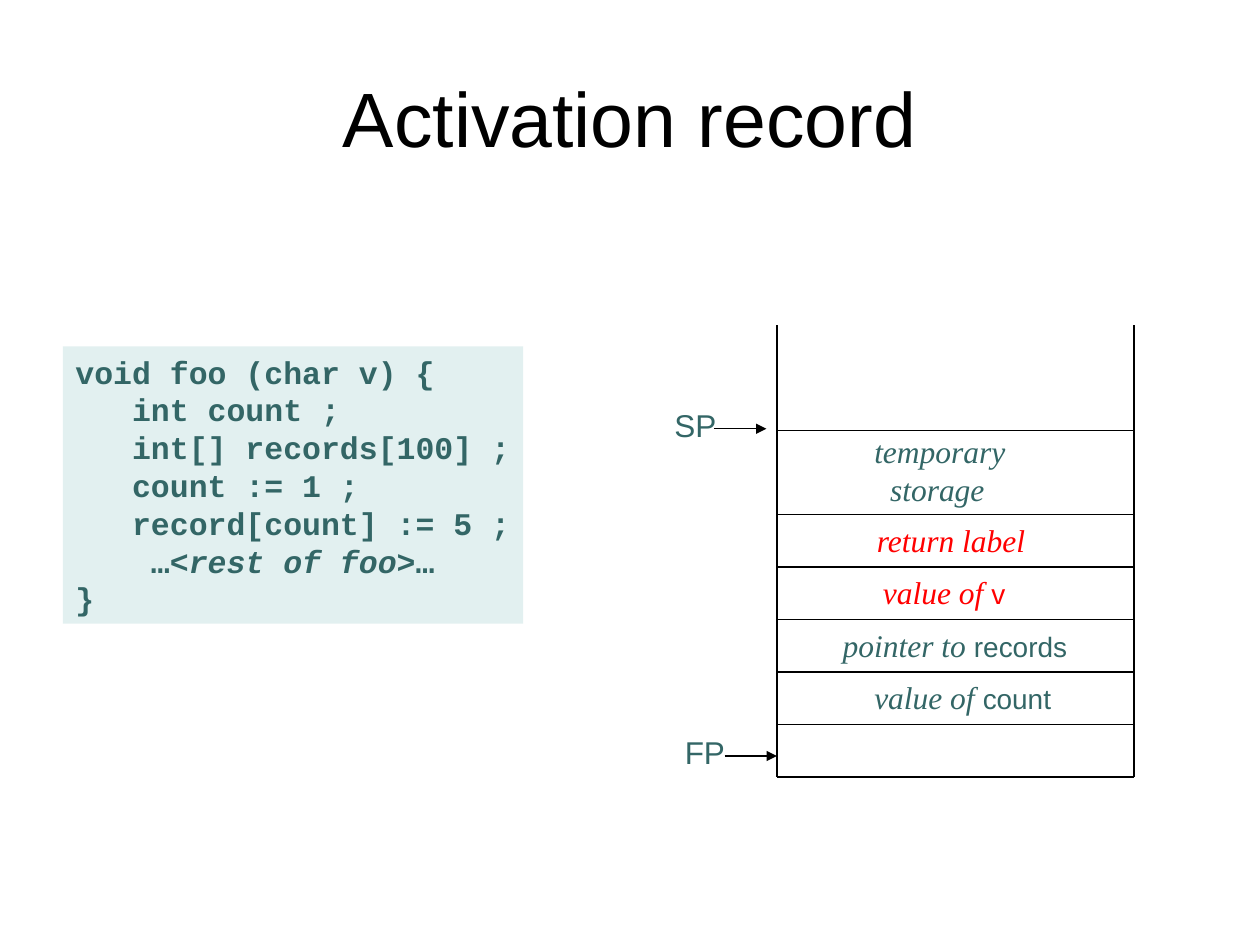
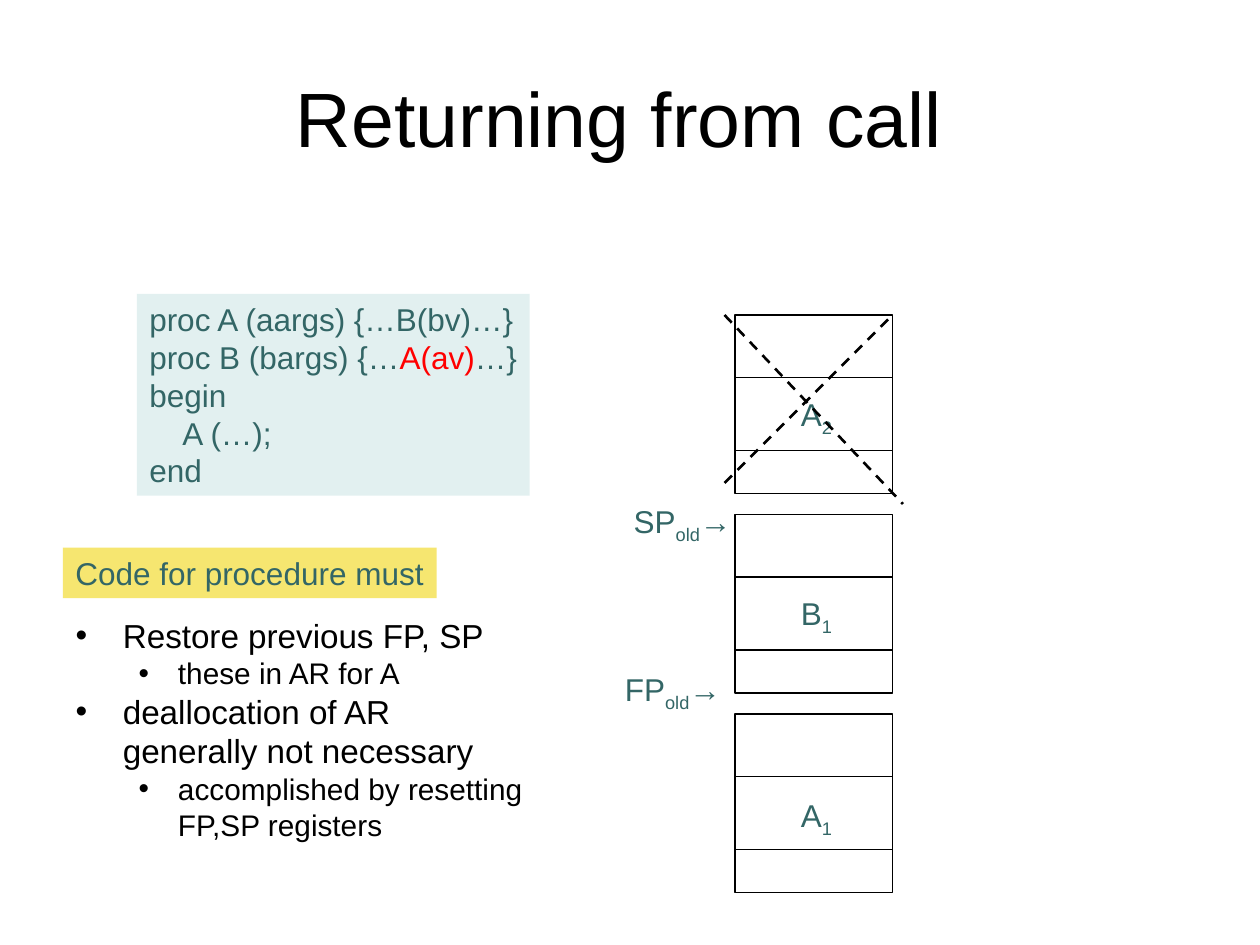
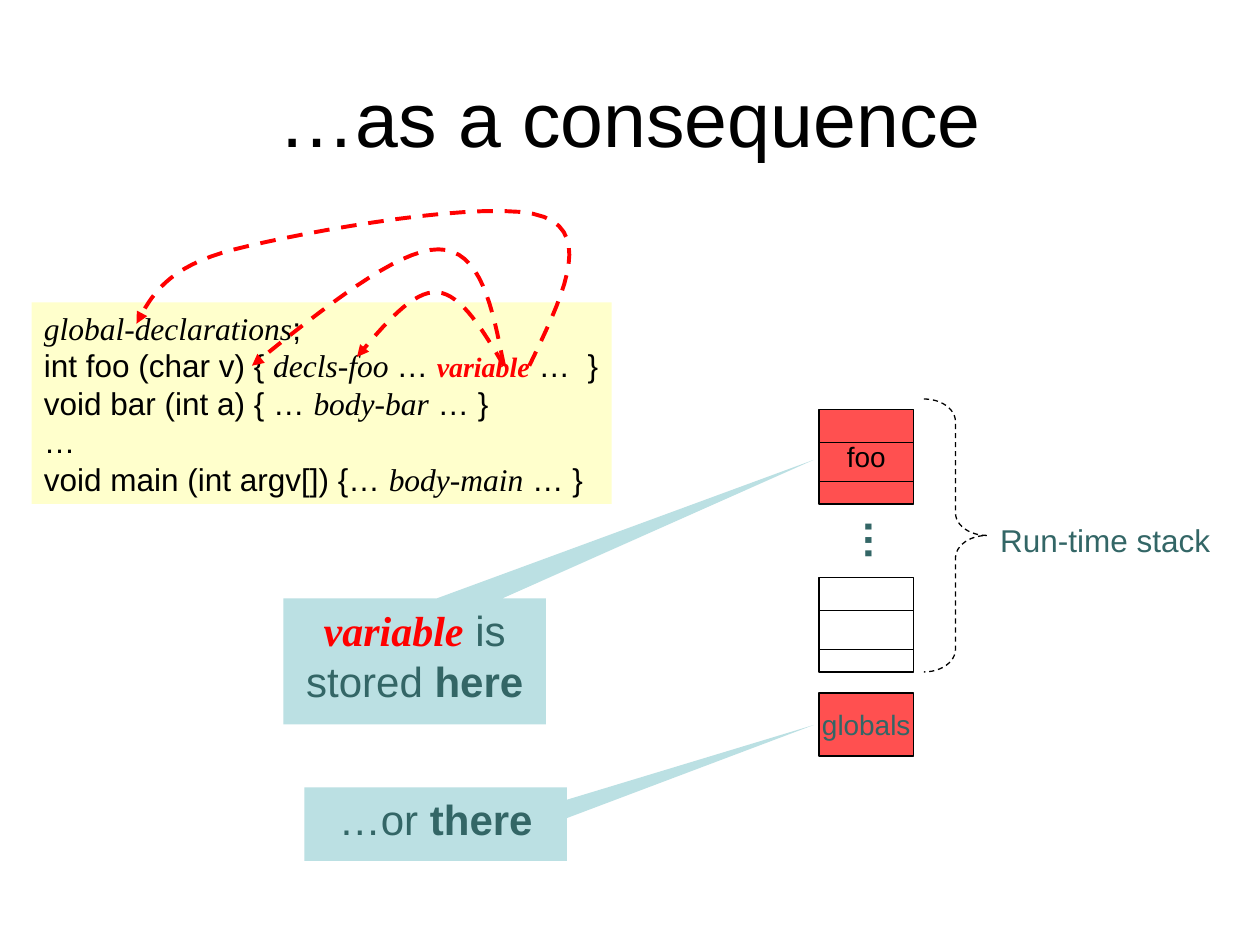
from dataclasses import dataclass, replace

from lxml.etree import SubElement
from pptx import Presentation
from pptx.dml.color import RGBColor
from pptx.enum.dml import MSO_LINE
from pptx.enum.shapes import MSO_CONNECTOR, MSO_SHAPE
from pptx.enum.text import MSO_ANCHOR, MSO_AUTO_SIZE, PP_ALIGN
from pptx.oxml.ns import qn
from pptx.util import Pt


@dataclass(frozen=True)
class Theme:
    black: str = "000000"
    white: str = "FFFFFF"
    teal: str = "336666"
    red: str = "FF0000"
    code_fill: str = "E2F0F0"
    scope_fill: str = "FFFFCC"
    heading_fill: str = "F6E670"
    active_fill: str = "FF5050"
    callout_fill: str = "BBE0E3"
    sans: str = "Arial"
    serif: str = "Times New Roman"
    mono: str = "Courier New"
    title_size: float = 44
    callout_size: float = 24
    bullet_sizes: tuple = (19, 17)
    text_size: float = 18
    small_size: float = 16
    line_height: float = 1.2
    thin: float = 0.75
    dashed: float = 1.5
    thick: float = 2.25


THEME = Theme()


@dataclass(frozen=True)
class Style:
    font: str = THEME.sans
    size: float = THEME.text_size
    color: str = THEME.teal
    bold: bool = False
    italic: bool = False
    subscript: bool = False


PLAIN = Style()
SUBSCRIPT = replace(PLAIN, subscript=True)
CODE = Style(font=THEME.mono, bold=True)
NOTE = Style(font=THEME.serif, italic=True)
NAME = Style(size=THEME.small_size)
RED_NOTE = replace(NOTE, color=THEME.red)
RED_NAME = replace(NAME, color=THEME.red)
BLACK = Style(color=THEME.black)
BLACK_NOTE = replace(NOTE, color=THEME.black)
VARIABLE = replace(RED_NOTE, size=THEME.small_size, bold=True)
CALLOUT = Style(size=THEME.callout_size)
CALLOUT_BOLD = replace(CALLOUT, bold=True)
TITLE = Style(size=THEME.title_size, color=THEME.black)


def format_run(run, style):
    font = run.font
    font.name = style.font
    font.size = Pt(style.size)
    font.bold = style.bold
    font.italic = style.italic
    font.color.rgb = RGBColor.from_string(style.color)
    if style.subscript:
        run._r.get_or_add_rPr().set("baseline", "-25000")


def write_lines(shape, lines, align=PP_ALIGN.LEFT, anchor=MSO_ANCHOR.TOP, wrap=False):
    frame = shape.text_frame
    frame.word_wrap = wrap
    frame.auto_size = MSO_AUTO_SIZE.NONE
    frame.vertical_anchor = anchor
    for index, spans in enumerate(lines):
        paragraph = frame.add_paragraph() if index else frame.paragraphs[0]
        paragraph.alignment = align
        paragraph.line_spacing = Pt(THEME.line_height * max(style.size for _, style in spans))
        for text, style in spans:
            run = paragraph.add_run()
            run.text = text
            format_run(run, style)


def add_label(slide, box, lines, fill=None, align=PP_ALIGN.LEFT):
    label = slide.shapes.add_textbox(*map(Pt, box))
    if fill:
        label.fill.solid()
        label.fill.fore_color.rgb = RGBColor.from_string(fill)
    write_lines(label, lines, align)
    return label


def style_line(shape, color=THEME.black, width=THEME.thin, dash=False, arrow=False):
    line = shape.line
    line.color.rgb = RGBColor.from_string(color)
    line.width = Pt(width)
    if dash:
        line.dash_style = MSO_LINE.DASH
    if arrow:
        SubElement(shape.element.find(".//" + qn("a:ln")), qn("a:tailEnd"), type="triangle")


def add_line(slide, start, end, **line_style):
    connector = slide.shapes.add_connector(MSO_CONNECTOR.STRAIGHT, *map(Pt, (*start, *end)))
    style_line(connector, **line_style)
    SubElement(connector.element.spPr, qn("a:effectLst"))


def add_box(slide, box, fill, kind=MSO_SHAPE.RECTANGLE, outline=True):
    shape = slide.shapes.add_shape(kind, *map(Pt, box))
    shape.shadow.inherit = False
    shape.fill.solid()
    shape.fill.fore_color.rgb = RGBColor.from_string(fill)
    if outline:
        style_line(shape)
    else:
        shape.line.fill.background()
    return shape


def add_frame(slide, left, top, width, height, fill=THEME.white):
    frame = add_box(slide, (left, top, width, height), fill)
    for share in (0.35, 0.76):
        y = top + share * height
        add_line(slide, (left, y), (left + width, y))
    return frame


def add_callout(slide, box, tip, spans):
    callout = add_box(slide, box, THEME.callout_fill, MSO_SHAPE.RECTANGULAR_CALLOUT, outline=False)
    callout.adjustments[0], callout.adjustments[1] = tip
    write_lines(callout, [spans], PP_ALIGN.CENTER, wrap=True)


def bezier_points(start, first, second, end, steps=16):
    for step in range(1, steps + 1):
        t = step / steps
        weights = ((1 - t) ** 3, 3 * t * (1 - t) ** 2, 3 * t ** 2 * (1 - t), t ** 3)
        yield tuple(
            Pt(sum(weight * value for weight, value in zip(weights, axis)))
            for axis in zip(start, first, second, end)
        )


def add_curved_arrow(slide, start, *curves):
    builder = slide.shapes.build_freeform(*map(Pt, start))
    for first, second, end in curves:
        builder.add_line_segments(list(bezier_points(start, first, second, end)), close=False)
        start = end
    arrow = builder.convert_to_shape()
    arrow.shadow.inherit = False
    arrow.fill.background()
    style_line(arrow, THEME.red, THEME.thick, dash=True, arrow=True)


def add_pointer(slide, name, x, y):
    add_label(slide, (x - 29.75, y - 16.5, 42, 28.8), [[(name, PLAIN)]])
    add_line(slide, (x, y), (x + 30, y), arrow=True)


def place(shape, left, top, width, height):
    shape.left, shape.top, shape.width, shape.height = map(Pt, (left, top, width, height))


def add_titled_slide(presentation, layout_index, title):
    slide = presentation.slides.add_slide(presentation.slide_layouts[layout_index])
    place(slide.shapes.title, 36, 21.6, 648, 90)
    frame = slide.shapes.title.text_frame
    frame.text = title
    frame.vertical_anchor = MSO_ANCHOR.MIDDLE
    frame.paragraphs[0].alignment = PP_ALIGN.CENTER
    format_run(frame.paragraphs[0].runs[0], TITLE)
    return slide


def set_indent(paragraph, margin, indent=0):
    properties = paragraph._p.get_or_add_pPr()
    properties.set("marL", str(Pt(margin)))
    properties.set("indent", str(Pt(indent)))
    return properties


def fill_bullets(body, items):
    frame = body.text_frame
    frame.auto_size = MSO_AUTO_SIZE.NONE
    frame.text = "\n".join(text for _, text in items)
    for paragraph, (level, _) in zip(frame.paragraphs, items):
        properties = set_indent(paragraph, *((27, -27), (58.5, -22.5))[level])
        color = SubElement(properties, qn("a:buClr"))
        SubElement(color, qn("a:srgbClr"), val=THEME.black)
        SubElement(properties, qn("a:buFont"), typeface=THEME.sans)
        SubElement(properties, qn("a:buChar"), char="•")
        size = THEME.bullet_sizes[level]
        paragraph.level = level
        paragraph.alignment = PP_ALIGN.LEFT
        paragraph.space_before = Pt(0)
        paragraph.line_spacing = Pt(THEME.line_height * size)
        format_run(paragraph.runs[0], replace(BLACK, size=size))


def build_activation_record(presentation):
    slide = add_titled_slide(presentation, 5, "Activation record")
    add_label(slide, (36, 198, 263, 158.4), [
        [("void foo (char v) {", CODE)],
        [("   int count ;", CODE)],
        [("   int[] records[100] ;", CODE)],
        [("   count := 1 ;", CODE)],
        [("   record[count] := 5 ;", CODE)],
        [("    …<", CODE), ("rest of foo", replace(CODE, italic=True)), (">…", CODE)],
        [("}", CODE)],
    ], THEME.code_fill)

    left, right, top, bottom, row = 444, 648, 186, 444, 30
    for x in (left, right):
        add_line(slide, (x, top), (x, bottom))
    for y in (*(bottom - row * index for index in range(6)), 246):
        add_line(slide, (left, y), (right, y))

    cells = [
        (492.5, 120, [("value of ", NOTE), ("count", NAME)]),
        (474.5, 147, [("pointer to ", NOTE), ("records", NAME)]),
        (497.5, 89, [("value of ", RED_NOTE), ("v", RED_NAME)]),
        (494, 105, [("return label", RED_NOTE)]),
    ]
    for index, (x, width, spans) in enumerate(cells, start=2):
        add_label(slide, (x, bottom - row * index, width, 28.8), [spans])
    storage = add_label(slide, (492.5, 243.5, 95, 50.4),
                        [[("temporary", NOTE)], [("storage", NOTE)]])
    set_indent(storage.text_frame.paragraphs[1], 9)

    add_pointer(slide, "FP", 414, 432)
    add_pointer(slide, "SP", 408, 245)


def build_returning(presentation):
    slide = add_titled_slide(presentation, 1, "Returning from call ")
    body = slide.placeholders[1]
    place(body, 36, 348, 276, 138)
    fill_bullets(body, [
        (0, "Restore previous FP, SP"),
        (1, "these in AR for A"),
        (0, "deallocation of AR generally not necessary"),
        (1, "accomplished by resetting FP,SP registers"),
    ])
    add_label(slide, (78.25, 168, 224.5, 115.2), [
        [("proc A (aargs) {…B(bv)…}", PLAIN)],
        [("proc B (bargs) {…", PLAIN), ("A(av)", replace(PLAIN, color=THEME.red)), ("…}", PLAIN)],
        [("begin", PLAIN)],
        [("    A (…);", PLAIN)],
        [("end", PLAIN)],
    ], THEME.code_fill)

    records = (("A", "2", 225), ("B", "1", 339), ("A", "1", 454.5))
    for index, (name, number, label_top) in enumerate(records):
        add_frame(slide, 420, 180 + 114 * index, 90, 102)
        add_label(slide, (450.5, label_top, 37, 31.7), [[(name, PLAIN), (number, SUBSCRIPT)]])
    for name, x, y in (("FP", 350, 382.5), ("SP", 355, 286.5)):
        add_label(slide, (x, y, 75, 31.7), [[(name, PLAIN), ("old", SUBSCRIPT), ("→", PLAIN)]])
    for start, end in (((414, 180), (516, 288)), ((414, 276), (510, 180))):
        add_line(slide, start, end, width=THEME.dashed, dash=True)
    add_label(slide, (36, 313, 213.5, 28.8), [[("Code for procedure must", PLAIN)]],
              THEME.heading_fill)


def build_consequence(presentation):
    slide = add_titled_slide(presentation, 5, "…as a consequence")
    add_label(slide, (18, 172.8, 331.5, 115.2), [
        [("global-declarations", BLACK_NOTE), (";", BLACK)],
        [("int foo (char v) { ", BLACK), ("decls-foo ", BLACK_NOTE), ("… ", BLACK),
         ("variable", VARIABLE), (" …  }", BLACK)],
        [("void bar (int a) { … ", BLACK), ("body-bar", BLACK_NOTE), (" … }", BLACK)],
        [("…", BLACK)],
        [("void main (int argv[]) {… ", BLACK), ("body-main", BLACK_NOTE), (" … }", BLACK)],
    ], THEME.scope_fill)
    add_curved_arrow(slide, (288, 209),
                     ((276, 189), (264, 168.5), (250, 167)),
                     ((236, 166), (220, 185), (204, 204)))
    add_curved_arrow(slide, (288, 209),
                     ((281.5, 176), (275, 142.5), (250.5, 142.5)),
                     ((227, 142.5), (185, 176), (144, 209)))
    add_curved_arrow(slide, (302.5, 209),
                     ((320.5, 171.5), (339, 134.5), (311, 124)),
                     ((283, 112.5), (173, 132.5), (134, 142.5)),
                     ((95, 152.5), (86.5, 169), (78, 185)))

    add_frame(slide, 468, 330, 54, 54)
    foo = add_frame(slide, 468, 234, 54, 54, THEME.active_fill)
    write_lines(foo, [[("foo", replace(NAME, color=THEME.black))]],
                PP_ALIGN.CENTER, MSO_ANCHOR.MIDDLE)
    ellipsis = add_label(slide, (485, 291, 38, 36), [[("…", CALLOUT_BOLD)]],
                         align=PP_ALIGN.CENTER)
    ellipsis.rotation = 90
    global_area = add_box(slide, (468, 396, 54, 36), THEME.active_fill)
    write_lines(global_area, [[("globals", NAME)]], PP_ALIGN.CENTER, MSO_ANCHOR.MIDDLE)
    add_label(slide, (561.5, 294, 140, 28.8), [[("Run-time stack", PLAIN)]],
              THEME.white, PP_ALIGN.CENTER)

    add_callout(slide, (162, 342, 150, 72), (1.52, -1.6),
                [("variable", replace(VARIABLE, size=THEME.callout_size)),
                 (" is stored ", CALLOUT), ("here", CALLOUT_BOLD)])
    add_callout(slide, (174, 450, 150, 42), (1.44, -1.35),
                [("…or ", CALLOUT), ("there", CALLOUT_BOLD)])

    brace = slide.shapes.add_shape(MSO_SHAPE.RIGHT_BRACE, *map(Pt, (528, 228, 36, 156)))
    brace.shadow.inherit = False
    brace.adjustments[0] = 0.36
    brace.fill.background()
    style_line(brace, dash=True)


def main():
    presentation = Presentation()
    presentation.slide_width, presentation.slide_height = Pt(720), Pt(540)
    build_activation_record(presentation)
    build_returning(presentation)
    build_consequence(presentation)
    presentation.save("out.pptx")


if __name__ == "__main__":
    main()
